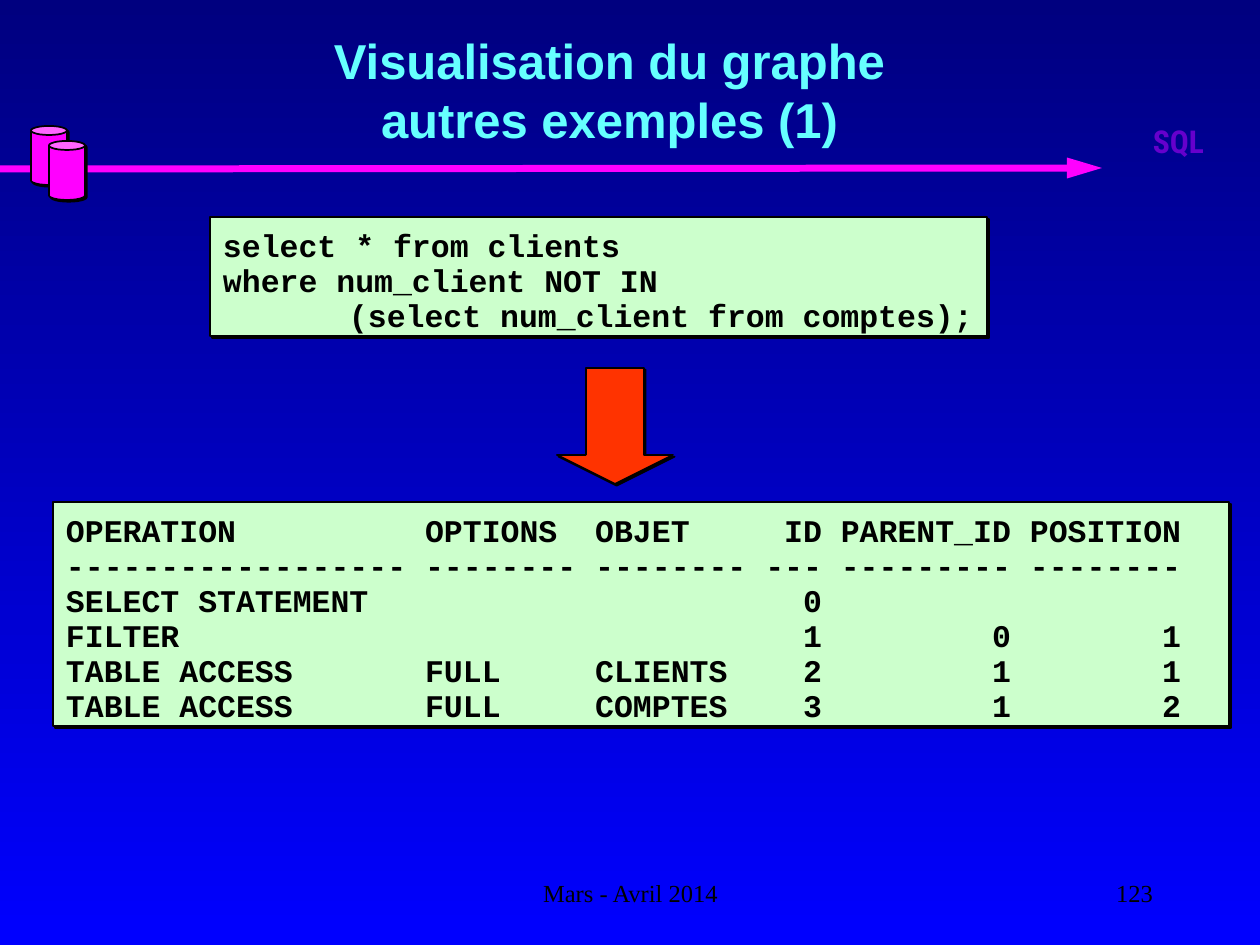
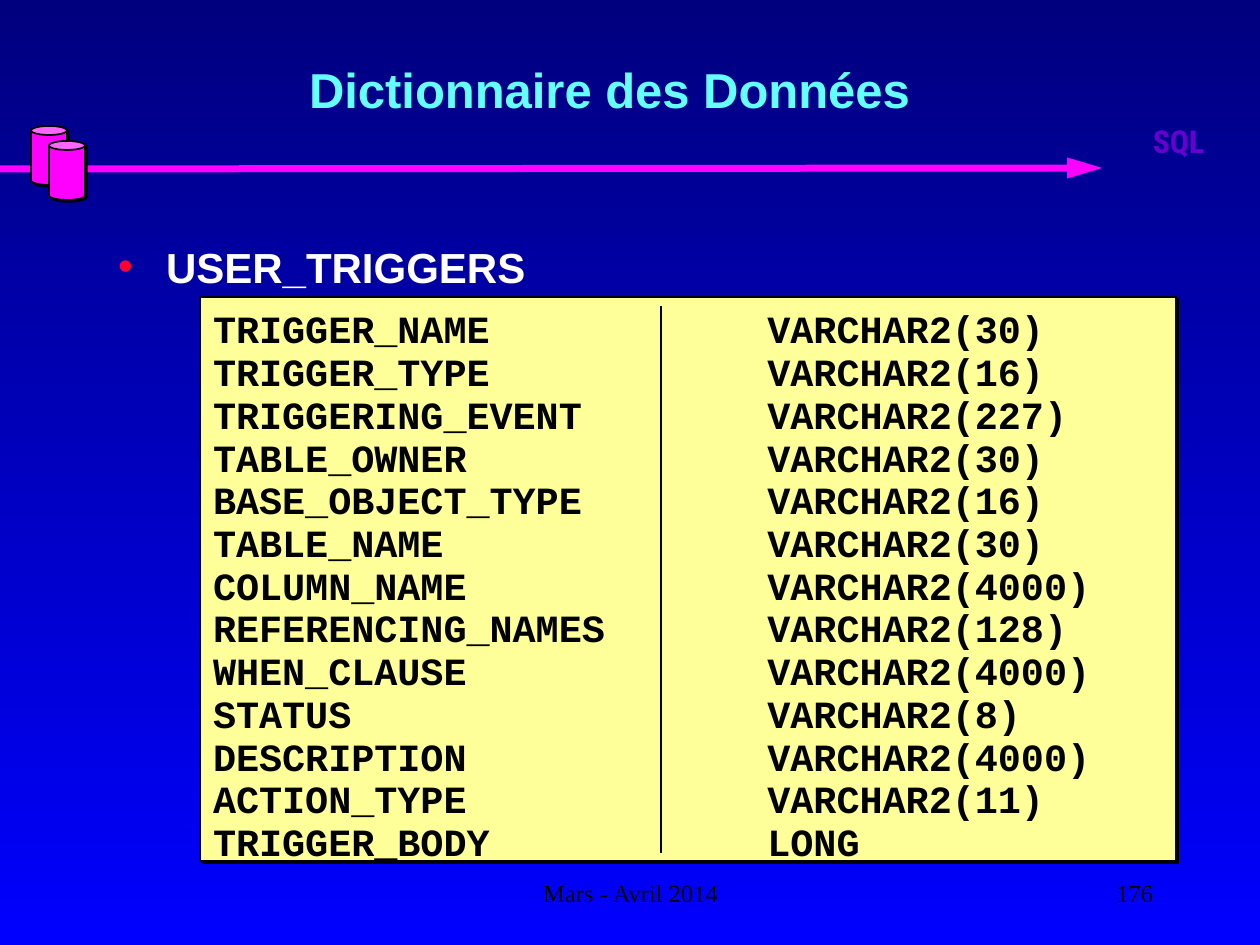
import pptx
import pptx.dml.color
import pptx.enum.shapes
import pptx.enum.text
import pptx.oxml.ns
import pptx.oxml.xmlchemy
import pptx.util
from lxml import etree

SHAPE = pptx.enum.shapes.MSO_SHAPE
ALIGN = pptx.enum.text.PP_ALIGN
ANCHOR = pptx.enum.text.MSO_ANCHOR
qn = pptx.oxml.ns.qn

PX_PER_INCH = 126
PX_PER_POINT = PX_PER_INCH / 72
MONO_ADVANCE = 0.6
COLORS = {
    "night": "00007F",
    "blue": "0000FF",
    "title": "66FFFF",
    "magenta": "FF00FF",
    "violet": "6600CC",
    "purple": "CC00CC",
    "black": "000000",
    "white": "FFFFFF",
    "bullet": "FF0033",
    "green": "CCFFCC",
    "yellow": "FFFF99",
    "arrow": "FF3300",
}
FOOTER = "Mars - Avril 2014"

QUERY = [
    ["select * from clients"],
    ["where num_client NOT IN"],
    ["", "(select num_client from comptes);"],
]
PLAN_WIDTHS = [18, 8, 8, 3, 9, 8]
PLAN = [
    ["OPERATION", "OPTIONS", "OBJET", "ID", "PARENT_ID", "POSITION"],
    ["-" * width for width in PLAN_WIDTHS],
    ["SELECT STATEMENT", "", "", "0"],
    ["FILTER", "", "", "1", "0", "1"],
    ["TABLE ACCESS", "FULL", "CLIENTS", "2", "1", "1"],
    ["TABLE ACCESS", "FULL", "COMPTES", "3", "1", "2"],
]
TRIGGER_COLUMNS = [
    ["TRIGGER_NAME", "VARCHAR2(30)"],
    ["TRIGGER_TYPE", "VARCHAR2(16)"],
    ["TRIGGERING_EVENT", "VARCHAR2(227)"],
    ["TABLE_OWNER", "VARCHAR2(30)"],
    ["BASE_OBJECT_TYPE", "VARCHAR2(16)"],
    ["TABLE_NAME", "VARCHAR2(30)"],
    ["COLUMN_NAME", "VARCHAR2(4000)"],
    ["REFERENCING_NAMES", "VARCHAR2(128)"],
    ["WHEN_CLAUSE", "VARCHAR2(4000)"],
    ["STATUS", "VARCHAR2(8)"],
    ["DESCRIPTION", "VARCHAR2(4000)"],
    ["ACTION_TYPE", "VARCHAR2(11)"],
    ["TRIGGER_BODY", "LONG"],
]


def px(length):
    return pptx.util.Emu(round(length * 914400 / PX_PER_INCH))


def rgb(name):
    return pptx.dml.color.RGBColor.from_string(COLORS[name])


def paint_gradient(fill, top, bottom):
    fill.gradient()
    fill.gradient_angle = 270
    for stop, name in zip(fill.gradient_stops, (top, bottom)):
        stop.color.rgb = rgb(name)


def place(shape, left, top, width, height):
    shape.left, shape.top = px(left), px(top)
    shape.width, shape.height = px(width), px(height)


def set_frame(frame, anchor, top=6, bottom=6):
    frame.word_wrap = True
    frame.auto_size = pptx.enum.text.MSO_AUTO_SIZE.NONE
    frame.vertical_anchor = anchor
    frame.margin_left = frame.margin_right = px(13)
    frame.margin_top, frame.margin_bottom = px(top), px(bottom)


def add_run(paragraph, text, size, font, color, bold=True):
    run = paragraph.add_run()
    run.text = text
    run.font.size = pptx.util.Pt(size)
    run.font.name = font
    run.font.bold = bold
    run.font.color.rgb = rgb(color)
    return run


def add_title(slide, lines):
    title = slide.shapes.title
    place(title, 53, 10, 1113, 158)
    set_frame(title.text_frame, ANCHOR.MIDDLE)
    paragraph = title.text_frame.paragraphs[0]
    paragraph.alignment = ALIGN.CENTER
    paragraph.line_spacing = pptx.util.Pt(34)
    for index, line in enumerate(lines):
        if index:
            paragraph.add_line_break()
        add_run(paragraph, line, 28, "Arial", "title")


def add_bullet(slide, text):
    body = slide.placeholders[1]
    place(body, 105, 231, 1071, 567)
    set_frame(body.text_frame, ANCHOR.TOP, top=10)
    paragraph = body.text_frame.paragraphs[0]
    properties = paragraph._p.get_or_add_pPr()
    properties.set("marL", str(px(48)))
    properties.set("indent", str(-px(48)))
    tint = etree.SubElement(properties, qn("a:buClr"))
    etree.SubElement(tint, qn("a:srgbClr"), val=COLORS["bullet"])
    etree.SubElement(properties, qn("a:buChar"), char="•")
    paragraph.space_before = pptx.util.Pt(0)
    add_run(paragraph, text, 24, "Arial", "white")


def add_line(slide, start, end, color, weight, arrow=False):
    line = slide.shapes.add_connector(
        pptx.enum.shapes.MSO_CONNECTOR.STRAIGHT, *map(px, start + end))
    line.line.color.rgb = rgb(color)
    line.line.width = pptx.util.Pt(weight)
    if arrow:
        etree.SubElement(line.line._get_or_add_ln(), qn("a:tailEnd"),
                         type="triangle", w="med", len="lg")
    etree.SubElement(line._element.spPr, qn("a:effectLst"))


def add_shadowed(shapes, preset, box, color):
    shape = shapes.add_shape(preset, *map(px, box))
    shape.fill.solid()
    shape.fill.fore_color.rgb = rgb(color)
    shape.line.color.rgb = rgb("black")
    shape.line.width = pptx.util.Pt(1)
    shape.shadow.inherit = False
    effects = shape._element.spPr.find(qn("a:effectLst"))
    shadow = etree.SubElement(effects, qn("a:outerShdw"), dist="17961",
                              dir="2700000", algn="ctr", rotWithShape="0")
    etree.SubElement(shadow, qn("a:srgbClr"), val=COLORS["black"])
    return shape


def add_listing(slide, box, color, rows, size, pitch, stops):
    panel = add_shadowed(slide.shapes, SHAPE.RECTANGLE, box, color)
    frame = panel.text_frame
    set_frame(frame, ANCHOR.TOP, top=12, bottom=0)
    for index, row in enumerate(rows):
        paragraph = frame.add_paragraph() if index else frame.paragraphs[0]
        paragraph.alignment = ALIGN.LEFT
        paragraph.line_spacing = pptx.util.Pt(pitch)
        tabs = etree.SubElement(paragraph._p.get_or_add_pPr(), qn("a:tabLst"))
        for position, side in stops:
            etree.SubElement(tabs, qn("a:tab"), pos=str(px(position)), algn=side)
        add_run(paragraph, "\t".join(row), size, "Courier New", "black")


def character_stops(size, columns):
    advance = size * MONO_ADVANCE * PX_PER_POINT
    return [(column * advance, side) for column, side in columns]


def plan_stops(size):
    columns, start = [], 0
    for index, width in enumerate(PLAN_WIDTHS):
        columns.append((start, "l") if index < 3 else (start + width, "r"))
        start += width + 1
    return character_stops(size, columns[1:])


def add_label(slide, box, text, alignment, size, font, color,
              anchor=ANCHOR.MIDDLE, bold=False):
    label = slide.shapes.add_textbox(*map(px, box))
    set_frame(label.text_frame, anchor)
    paragraph = label.text_frame.paragraphs[0]
    paragraph.alignment = alignment
    return add_run(paragraph, text, size, font, color, bold)


def add_course_slide(deck, layout, title, number):
    slide = deck.slides.add_slide(deck.slide_layouts[layout])
    add_line(slide, (-1, 169), (1102, 168), "magenta", 4, arrow=True)
    database = slide.shapes.add_group_shape()
    for left, top in ((31, 126), (49, 141)):
        add_shadowed(database.shapes, SHAPE.CAN, (left, top, 36, 59), "magenta")
    course = add_label(slide, (1105, 116, 147, 98), "SQL", ALIGN.CENTER, 18,
                       "Roboto Condensed", "violet", ANCHOR.TOP, bold=True)
    paint_gradient(course.font.fill, "violet", "purple")
    add_label(slide, (431, 861, 399, 63), FOOTER, ALIGN.CENTER, 14,
              "Times New Roman", "black")
    add_label(slide, (903, 861, 263, 63), str(number), ALIGN.RIGHT, 14,
              "Times New Roman", "black")
    add_title(slide, title)
    return slide


def build_plan_slide(deck):
    slide = add_course_slide(
        deck, 5, ["Visualisation du graphe", "autres exemples (1)"], 123)
    add_listing(slide, (210, 217, 777, 119), "green", QUERY, 18, 20,
                [(PX_PER_INCH, "l")])
    add_listing(slide, (53, 502, 1176, 224), "green", PLAN, 18, 20,
                plan_stops(18))
    add_shadowed(slide.shapes, SHAPE.DOWN_ARROW, (557, 368, 116, 116), "arrow") \
        .adjustments[1] = 0.25


def build_dictionary_slide(deck):
    slide = add_course_slide(deck, 1, ["Dictionnaire des Données"], 176)
    add_bullet(slide, "USER_TRIGGERS")
    add_listing(slide, (200, 297, 976, 564), "yellow", TRIGGER_COLUMNS, 22, 24.4,
                character_stops(22, [(24, "l")]))
    add_line(slide, (661, 306), (661, 853), "black", 1)


def main():
    deck = pptx.Presentation()
    deck.slide_width, deck.slide_height = px(1260), px(945)
    paint_gradient(deck.slide_master.background.fill, "night", "blue")
    build_plan_slide(deck)
    build_dictionary_slide(deck)
    deck.save("out.pptx")


if __name__ == "__main__":
    main()
